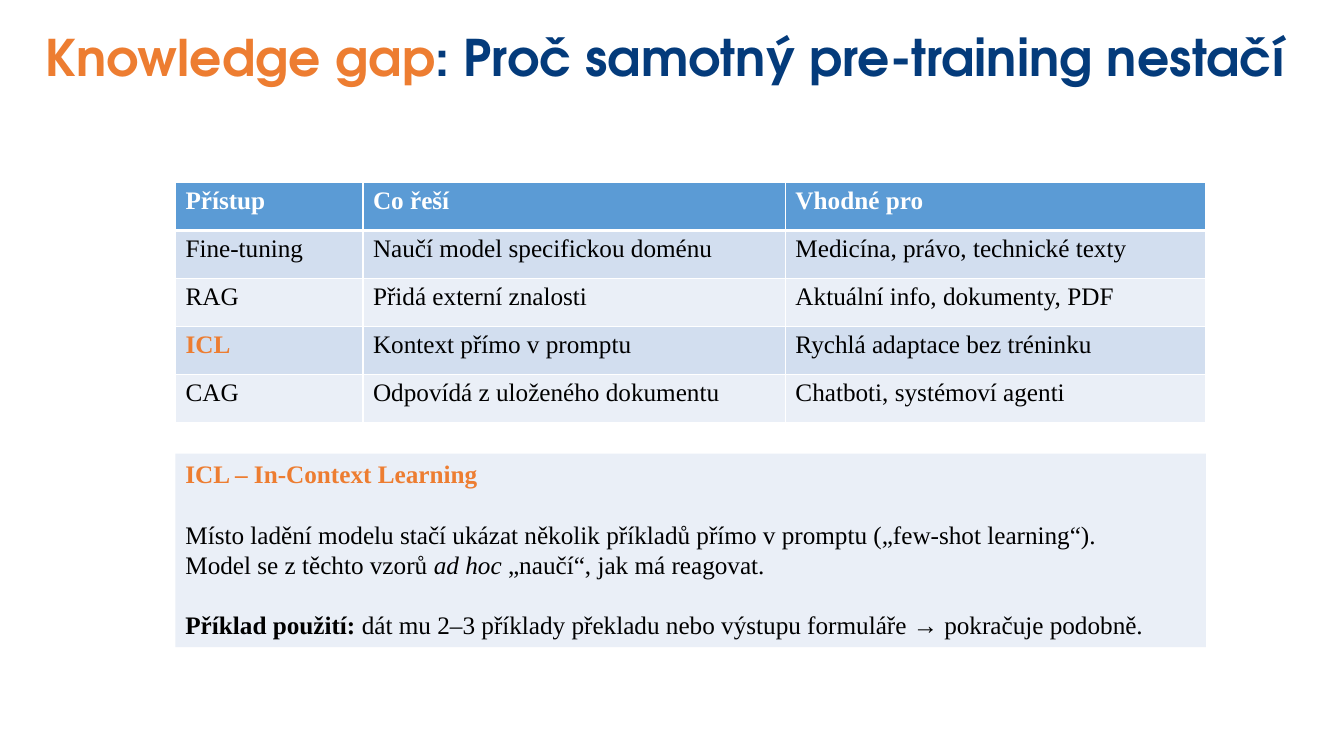
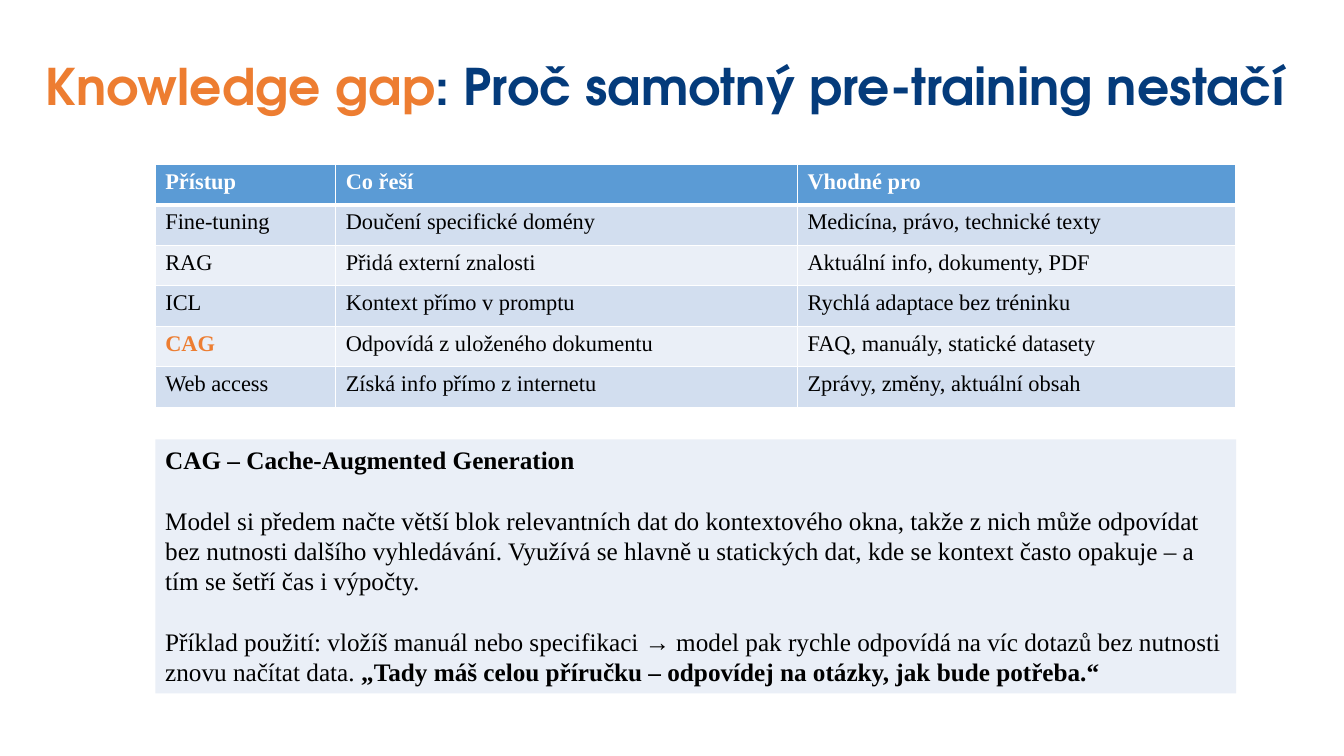
from pptx import Presentation
from pptx.dml.color import RGBColor
from pptx.enum.shapes import MSO_SHAPE
from pptx.enum.text import MSO_ANCHOR, PP_ALIGN
from pptx.oxml import parse_xml
from pptx.oxml.ns import nsdecls
from pptx.util import Inches, Pt

RECTANGLE = MSO_SHAPE.RECTANGLE
TOP = MSO_ANCHOR.TOP
LEFT = PP_ALIGN.LEFT

ORANGE, NAVY, BLUE = "ED7D31", "043B7B", "5B9BD5"
BLACK, WHITE = "000000", "FFFFFF"
BANDS = ["EAEFF7", "D2DEEF"]
TITLE_FONT, BODY_FONT = "TeX Gyre Adventor", "Times New Roman"
BODY_SIZE, BODY_LINE = 18, 21.6
ACCENT = {"color": ORANGE, "bold": True}

TITLE = [("Knowledge gap", {"color": ORANGE}), (": Proč samotný pre-training nestačí", {})]
HEADER = ["Přístup", "Co řeší", "Vhodné pro"]

# Each explanation paragraph is (starts a new block, runs).
SLIDES = [
    {
        "title_top": 0.21, "left": 1.74, "columns": [1.86, 4.19, 4.17],
        "table_top": 1.81, "table_height": 2.38, "table_size": 18, "highlight": "ICL",
        "rows": [
            ["Fine-tuning", "Naučí model specifickou doménu", "Medicína, právo, technické texty"],
            ["RAG", "Přidá externí znalosti", "Aktuální info, dokumenty, PDF"],
            ["ICL", "Kontext přímo v promptu", "Rychlá adaptace bez tréninku"],
            ["CAG", "Odpovídá z uloženého dokumentu", "Chatboti, systémoví agenti"],
        ],
        "box_top": 4.5, "box_height": 1.92,
        "explanation": [
            (False, [("ICL – In-Context Learning", ACCENT)]),
            (True, [("Místo ladění modelu stačí ukázat několik příkladů přímo v promptu "
                     "(„few-shot learning“).", {})]),
            (False, [("Model se z těchto vzorů ", {}), ("ad hoc", {"italic": True}),
                     (" „naučí“, jak má reagovat.", {})]),
            (True, [("Příklad použití:", {"bold": True}),
                    (" dát mu 2–3 příklady překladu nebo výstupu formuláře → "
                     "pokračuje podobně.", {})]),
        ],
    },
    {
        "title_top": 0.5, "left": 1.54, "columns": [1.79, 4.58, 4.35],
        "table_top": 1.63, "table_height": 2.41, "table_size": 16, "highlight": "CAG",
        "rows": [
            ["Fine-tuning", "Doučení specifické domény", "Medicína, právo, technické texty"],
            ["RAG", "Přidá externí znalosti", "Aktuální info, dokumenty, PDF"],
            ["ICL", "Kontext přímo v promptu", "Rychlá adaptace bez tréninku"],
            ["CAG", "Odpovídá z uloženého dokumentu", "FAQ, manuály, statické datasety"],
            ["Web access", "Získá info přímo z internetu", "Zprávy, změny, aktuální obsah"],
        ],
        "box_top": 4.36, "box_height": 2.52,
        "explanation": [
            (False, [("CAG – Cache-Augmented Generation", {"bold": True})]),
            (True, [("Model si předem načte větší blok relevantních dat do kontextového okna, "
                     "takže z nich může odpovídat bez nutnosti dalšího vyhledávání. Využívá se "
                     "hlavně u statických dat, kde se kontext často opakuje – a tím se šetří "
                     "čas i výpočty.", {})]),
            (True, [("Příklad použití: vložíš manuál nebo specifikaci → model pak rychle "
                     "odpovídá na víc dotazů bez nutnosti znovu načítat data. ", {}),
                    ("„Tady máš celou příručku – odpovídej na otázky, jak bude potřeba.“",
                     {"bold": True})]),
        ],
    },
]


def set_color(fill, color):
    fill.solid()
    fill.fore_color.rgb = RGBColor.from_string(color)


def write_text(paragraph, runs, size, font=BODY_FONT, color=BLACK, bold=False):
    """Add (text, overrides) runs; overrides may hold color, bold and italic."""
    paragraph.alignment = LEFT
    for text, overrides in runs:
        run = paragraph.add_run()
        run.text = text
        run.font.name = font
        run.font.size = Pt(size)
        run.font.bold = overrides.get("bold", bold)
        run.font.italic = overrides.get("italic", False)
        set_color(run.font.fill, overrides.get("color", color))


presentation = Presentation()
presentation.slide_width = Inches(13.33)
presentation.slide_height = Inches(7.5)
blank_layout = presentation.slide_layouts[6]

for content in SLIDES:
    slide = presentation.slides.add_slide(blank_layout)
    left, width = Inches(content["left"]), Inches(sum(content["columns"]))

    title = slide.shapes.add_textbox(
        Inches(0.35), Inches(content["title_top"]), Inches(12.98), Inches(0.71))
    title.text_frame.word_wrap = True
    write_text(title.text_frame.paragraphs[0], TITLE, 36, font=TITLE_FONT, color=NAVY, bold=True)

    rows = [HEADER] + content["rows"]
    table = slide.shapes.add_table(
        len(rows), len(HEADER), left, Inches(content["table_top"]),
        width, Inches(content["table_height"])).table
    for column, column_width in zip(table.columns, content["columns"]):
        column.width = Inches(column_width)
    for row_index, row in enumerate(rows):
        is_header = row_index == 0
        border_widths = {"L": 1, "R": 1, "T": 3 if row_index == 1 else 1, "B": 3 if is_header else 1}
        for column_index, text in enumerate(row):
            cell = table.cell(row_index, column_index)
            properties = cell._tc.get_or_add_tcPr()
            for side, points in border_widths.items():
                properties.append(parse_xml(
                    f'<a:ln{side} {nsdecls("a")} w="{Pt(points)}"><a:solidFill>'
                    f'<a:srgbClr val="{WHITE}"/></a:solidFill></a:ln{side}>'))
            set_color(cell.fill, BLUE if is_header else BANDS[row_index % 2])
            overrides = ACCENT if text == content["highlight"] else {}
            write_text(cell.text_frame.paragraphs[0], [(text, overrides)], content["table_size"],
                       color=WHITE if is_header else BLACK, bold=is_header)

    box = slide.shapes.add_shape(
        RECTANGLE, left, Inches(content["box_top"]), width, Inches(content["box_height"]))
    box.shadow.inherit = False
    set_color(box.fill, BANDS[0])
    box.line.fill.background()
    frame = box.text_frame
    frame.word_wrap = True
    frame.vertical_anchor = TOP
    for index, (starts_block, runs) in enumerate(content["explanation"]):
        paragraph = frame.add_paragraph() if index else frame.paragraphs[0]
        paragraph.line_spacing = Pt(BODY_LINE)
        if starts_block:
            paragraph.space_before = Pt(BODY_LINE)
        write_text(paragraph, runs, BODY_SIZE)

presentation.save("out.pptx")
